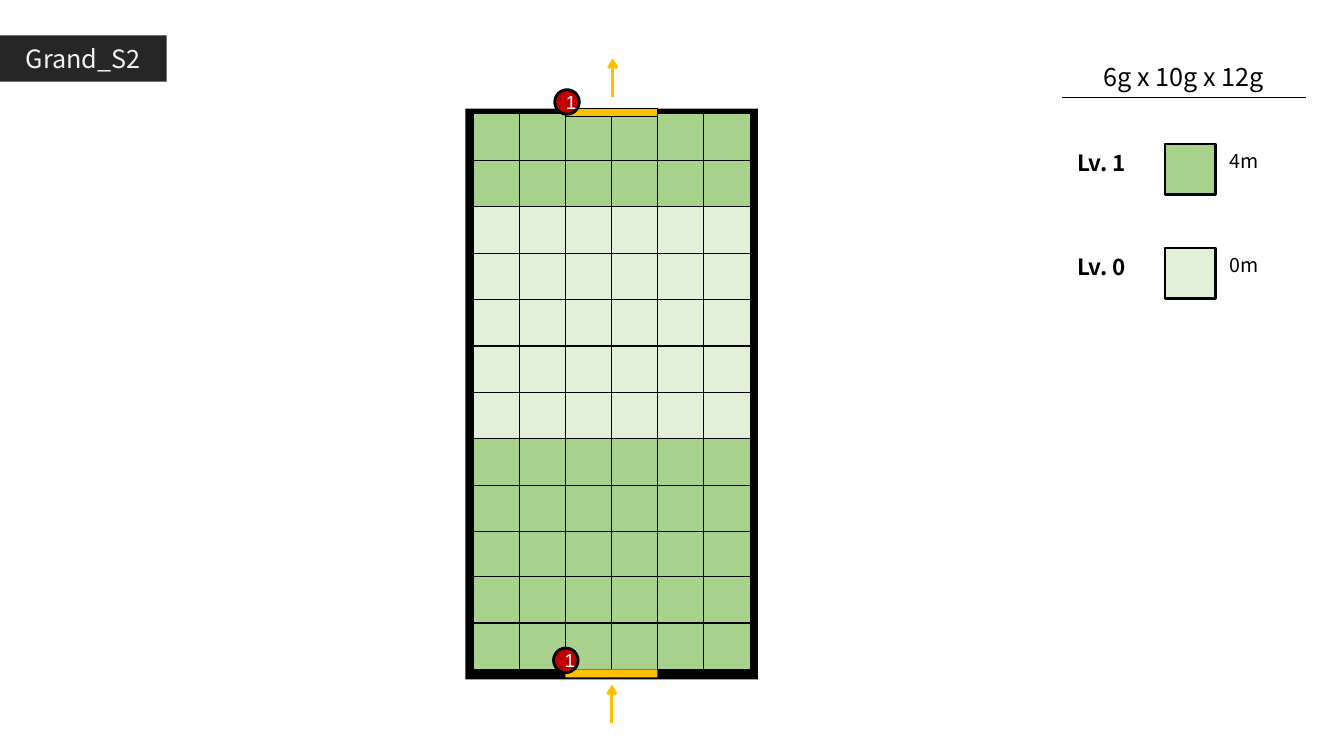
from dataclasses import dataclass

from lxml.etree import SubElement
from pptx import Presentation
from pptx.dml.color import RGBColor as Rgb
from pptx.enum.shapes import MSO_CONNECTOR as Link, MSO_SHAPE as Shape
from pptx.enum.text import MSO_ANCHOR as Anchor, PP_ALIGN as Align
from pptx.oxml.ns import qn
from pptx.util import Cm, Pt


@dataclass(frozen=True)
class Theme:
    font: str = "Noto Sans CJK KR"
    marker_font: str = "Arial"
    black: str = "000000"
    white: str = "FFFFFF"
    tag: str = "262626"
    tag_text: str = "F2F2F2"
    high: str = "A9D18E"
    low: str = "E2F0D9"
    gate: str = "FFC000"
    marker: str = "C00000"
    heading_size: float = 18
    level_size: float = 16
    height_size: float = 14
    marker_size: float = 13.4
    grid_line: float = 0.75
    bold_line: float = 2


theme = Theme()

# Content
TITLE = "Grand_S2"
DIMENSIONS = "6g x 10g x 12g"
LEVELS = [("Lv. 1", "4m", theme.high), ("Lv. 0", "0m", theme.low)]
FIELD_ROWS = [theme.high] * 2 + [theme.low] * 5 + [theme.high] * 5
COLUMNS = 6
MARKERS = [("1", 13.95, 16.33), ("1", 13.98, 2.26)]
ARROWS = [(15.42, 18.23, 17.25), (15.44, 2.45, 1.47)]

# Layout in centimetres
FIELD_LEFT, FIELD_TOP = 11.94, 2.87
COLUMN_STEP, ROW_STEP, CELL = 1.16, 1.17, 1.17
LOWER_ROWS, LOWER_SHIFT = 10, 0.04
GATE_LEFT, GATE_WIDTH, GATE_HEIGHT = 14.25, 2.32, 0.2
LEGEND_TOP, LEGEND_STEP = 3.63, 2.62

deck = Presentation()
deck.slide_width, deck.slide_height = Cm(33.87), Cm(19.05)
page = deck.slides.add_slide(deck.slide_layouts[5])


def style_text(shape, text, size, color=theme.black, font=theme.font,
               align=Align.LEFT, anchor=Anchor.TOP, bold=False):
    frame = shape.text_frame
    frame.word_wrap = True
    frame.vertical_anchor = anchor
    para = frame.paragraphs[0]
    para.text = text
    para.alignment = align
    para.font.name, para.font.size, para.font.bold = font, Pt(size), bold
    para.font.color.rgb = Rgb.from_string(color)


def add_box(left, top, width, height, fill, line=None, kind=Shape.RECTANGLE):
    box = page.shapes.add_shape(kind, Cm(left), Cm(top), Cm(width), Cm(height))
    box.shadow.inherit = False
    box.fill.solid()
    box.fill.fore_color.rgb = Rgb.from_string(fill)
    if line:
        box.line.color.rgb = Rgb.from_string(theme.black)
        box.line.width = Pt(line)
    else:
        box.line.fill.background()
    return box


def add_label(left, top, width, height, text, size, **style):
    label = page.shapes.add_textbox(Cm(left), Cm(top), Cm(width), Cm(height))
    style_text(label, text, size, **style)


def add_line(start, end, color, width, arrow=False):
    line = page.shapes.add_connector(Link.STRAIGHT, *map(Cm, start + end))
    line.line.color.rgb = Rgb.from_string(color)
    line.line.width = Pt(width)
    properties = line._element.spPr
    if arrow:
        SubElement(properties.find(qn("a:ln")), qn("a:tailEnd"), type="arrow")
    SubElement(properties, qn("a:effectLst"))


# Title tag
title = page.shapes.title
title.left, title.top, title.width, title.height = Cm(0), Cm(0.89), Cm(4.2), Cm(1.17)
title.fill.solid()
title.fill.fore_color.rgb = Rgb.from_string(theme.tag)
style_text(title, TITLE, theme.heading_size, theme.tag_text,
           align=Align.CENTER, anchor=Anchor.MIDDLE)

# Legend
add_line((26.77, 2.45), (32.92, 2.45), theme.black, 1)
add_label(27.03, 1.42, 5.59, 1.02, DIMENSIONS, theme.heading_size, align=Align.CENTER)
for index, (level, height, color) in enumerate(LEVELS):
    top = LEGEND_TOP + index * LEGEND_STEP
    add_label(26.9, top, 2.72, 0.91, level, theme.level_size, bold=True)
    add_box(29.36, top, 1.27, 1.27, color, theme.bold_line)
    add_label(30.73, top, 1.8, 0.84, height, theme.height_size)

# Field wall and grid
add_box(11.73, 2.74, 7.37, 14.38, theme.black)
for row, color in enumerate(FIELD_ROWS):
    top = FIELD_TOP + row * ROW_STEP - (LOWER_SHIFT if row >= LOWER_ROWS else 0)
    for column in range(COLUMNS):
        add_box(FIELD_LEFT + column * COLUMN_STEP, top, CELL, CELL, color, theme.grid_line)

# Gates, direction arrows and markers
for top, line in [(16.87, None), (2.74, theme.grid_line)]:
    add_box(GATE_LEFT, top, GATE_WIDTH, GATE_HEIGHT, theme.gate, line)
for x, start, end in ARROWS:
    add_line((x, start), (x, end), theme.gate, 2.25, arrow=True)
for number, left, top in MARKERS:
    marker = add_box(left, top, 0.62, 0.62, theme.marker, theme.bold_line, Shape.OVAL)
    style_text(marker, number, theme.marker_size, theme.white, theme.marker_font,
               Align.CENTER, Anchor.MIDDLE)

deck.save("out.pptx")
